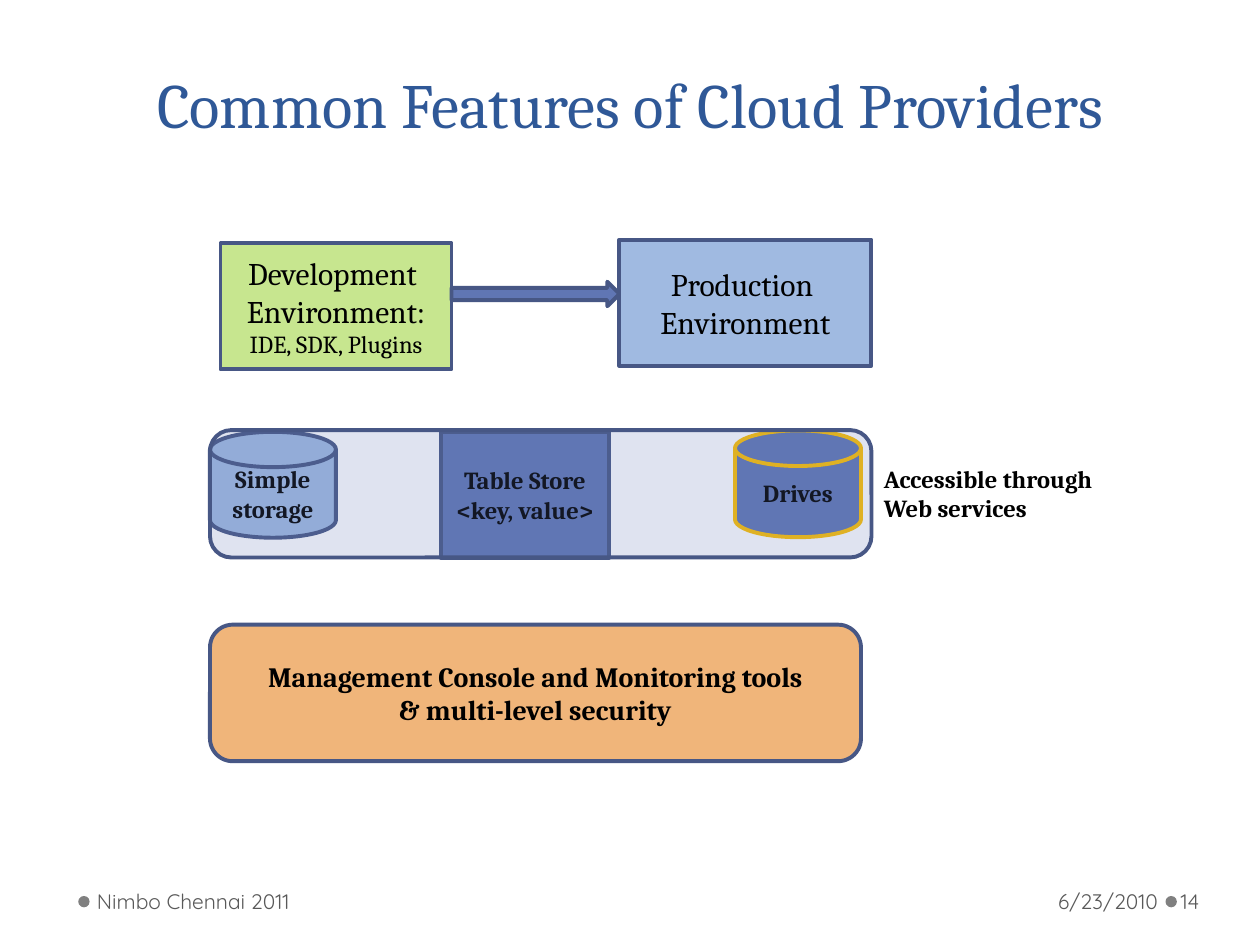
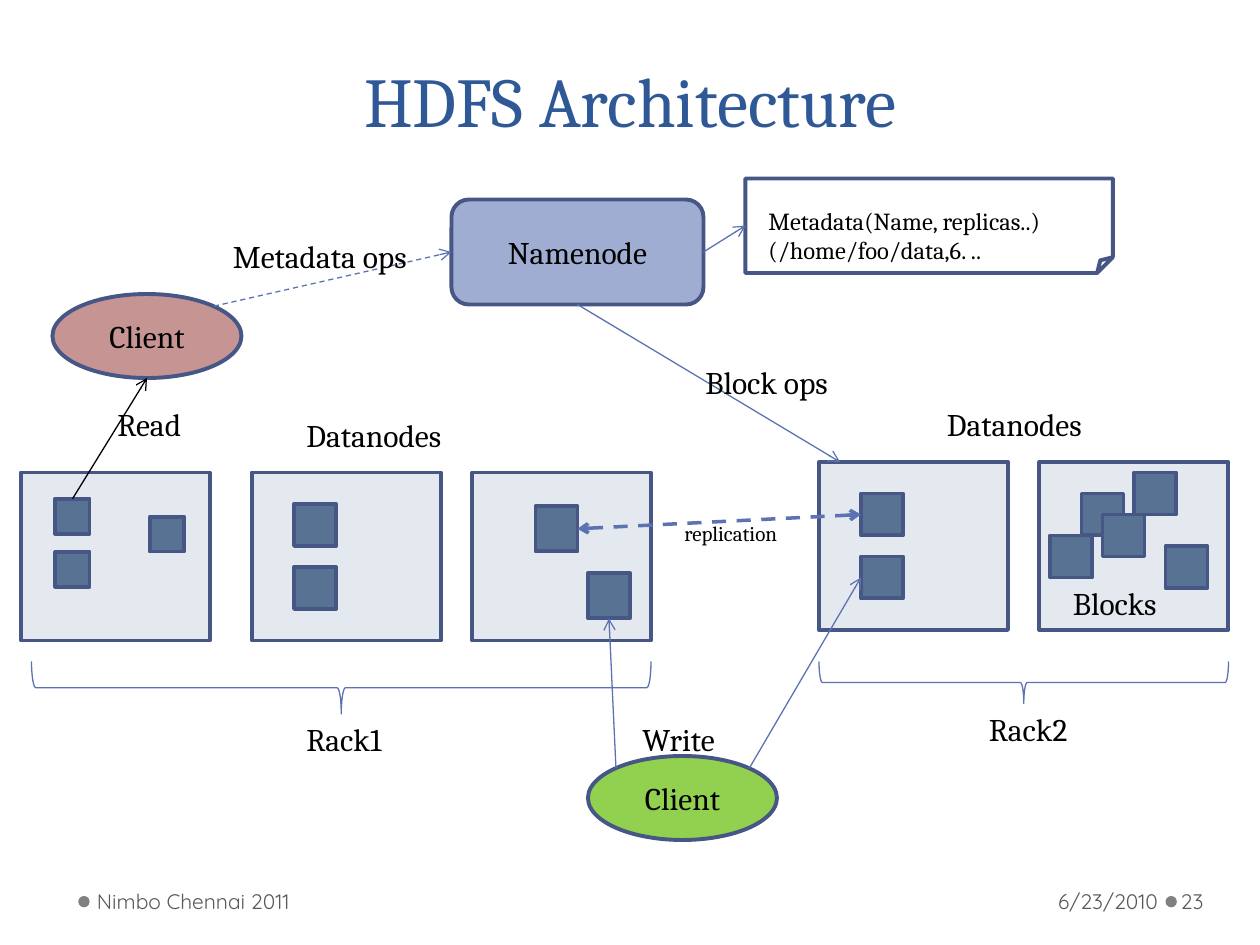
from dataclasses import dataclass

import pptx
import pptx.dml.color
import pptx.enum.dml
import pptx.enum.shapes
import pptx.enum.text
import pptx.oxml.ns
import pptx.shapes.autoshape
import pptx.slide
import pptx.text.text
import pptx.util
from lxml import etree

Pt = pptx.util.Pt
qn = pptx.oxml.ns.qn
Kind = pptx.enum.shapes.MSO_SHAPE
Align = pptx.enum.text.PP_ALIGN
Anchor = pptx.enum.text.MSO_ANCHOR
Dash = pptx.enum.dml.MSO_LINE
Slide = pptx.slide.Slide
Shape = pptx.shapes.autoshape.Shape
Point = tuple[float, float]

SERIF, SANS = "Cambria", "Quicksand"
BLACK, TITLE, GRAY, DOT = "000000", "2F5897", "595959", "808080"
EDGE, ACCENT, LINE, SKY = "475785", "6076B4", "5C72B2", "A0BAE1"
PANEL, BLOCK = "E4E9EF", "577293"
TOP, LEFT, BOTTOM, RIGHT = range(4)


@dataclass
class Box:
    x: float
    y: float
    w: float
    h: float
    fill: str | None = None
    text: str = ""
    kind: Kind = Kind.RECTANGLE
    size: float = 18
    bold: bool = False
    tail: str = ""
    edge: str | None = EDGE
    width: float = 2.25
    alpha: int = 100


@dataclass
class Label:
    x: float
    y: float
    w: float
    h: float
    text: str
    size: float = 18
    bold: bool = False


@dataclass
class Node:
    """A data node; blocks are offsets from its corner."""
    x: float
    y: float
    w: float
    blocks: list[Point]
    size: Point = (24, 24)


@dataclass
class Link:
    """Each end is a point, or a shape with the index of its side."""
    start: tuple
    end: tuple
    color: str = LINE
    width: float = 0.75
    dash: Dash | None = None
    both: bool = False


def rgb(code: str) -> pptx.dml.color.RGBColor:
    return pptx.dml.color.RGBColor.from_string(code)


def write(frame: pptx.text.text.TextFrame, text: str, *, size: float = 18,
          color: str = BLACK, font: str = SERIF, bold: bool = False,
          align: Align = Align.LEFT, anchor: Anchor = Anchor.TOP,
          wrap: bool = True, space: float | None = None,
          inset: tuple = (7.2, 3.6, 7.2, 3.6), tail: str = "") -> None:
    """Fill the frame, one paragraph a line; tail ends the last one at 14 points."""
    frame.word_wrap, frame.vertical_anchor = wrap, anchor
    frame.auto_size = pptx.enum.text.MSO_AUTO_SIZE.NONE
    (frame.margin_left, frame.margin_top,
     frame.margin_right, frame.margin_bottom) = map(Pt, inset)
    lines = text.split("\n")
    for i, line in enumerate(lines):
        para = frame.add_paragraph() if i else frame.paragraphs[0]
        para.alignment = align
        if space:
            para.line_spacing = Pt(space)
        runs = [(line, size)]
        if tail and i == len(lines) - 1:
            runs.append((tail, 14))
        for words, points in runs:
            run = para.add_run()
            run.text = words
            run.font.name, run.font.size = font, Pt(points)
            run.font.bold, run.font.color.rgb = bold, rgb(color)


def draw(slide: Slide, box: Box) -> Shape:
    shape = slide.shapes.add_shape(box.kind, *map(Pt, (box.x, box.y, box.w, box.h)))
    shape.shadow.inherit = False
    if box.fill:
        shape.fill.solid()
        shape.fill.fore_color.rgb = rgb(box.fill)
        if box.alpha < 100:
            tint = shape.element.spPr.find(qn("a:solidFill"))[0]
            etree.SubElement(tint, qn("a:alpha"), val=str(box.alpha * 1000))
    else:
        shape.fill.background()
    if box.edge:
        shape.line.color.rgb = rgb(box.edge)
        shape.line.width = Pt(box.width)
    else:
        shape.line.fill.background()
    if box.text:
        write(shape.text_frame, box.text, size=box.size, bold=box.bold, tail=box.tail,
              align=Align.CENTER, anchor=Anchor.MIDDLE)
    return shape


def note(slide: Slide, x: float, y: float, w: float, h: float,
         text: str, **style) -> None:
    """Add a text box."""
    area = slide.shapes.add_textbox(*map(Pt, (x, y, w, h)))
    write(area.text_frame, text, **style)


def label(slide: Slide, item: Label) -> None:
    note(slide, item.x, item.y, item.w, item.h, item.text,
         size=item.size, bold=item.bold, wrap=False)


def join(slide: Slide, link: Link) -> None:
    ends = [(0, 0) if isinstance(end[0], Shape) else end
            for end in (link.start, link.end)]
    line = slide.shapes.add_connector(
        pptx.enum.shapes.MSO_CONNECTOR.STRAIGHT, *map(Pt, ends[0] + ends[1]))
    for end, glue in ((link.start, line.begin_connect), (link.end, line.end_connect)):
        if isinstance(end[0], Shape):
            glue(*end)
    line.line.color.rgb, line.line.width = rgb(link.color), Pt(link.width)
    if link.dash:
        line.line.dash_style = link.dash
    props = line.element.spPr
    stroke = props.find(qn("a:ln"))
    for tip in ("a:headEnd", "a:tailEnd") if link.both else ("a:tailEnd",):
        etree.SubElement(stroke, qn(tip), type="arrow")
    etree.SubElement(props, qn("a:effectLst"))


def rack(slide: Slide, node: Node) -> list[Shape]:
    """Draw a data node and return its blocks."""
    draw(slide, Box(node.x, node.y, node.w, 96, PANEL))
    return [draw(slide, Box(node.x + dx, node.y + dy, *node.size, BLOCK))
            for dx, dy in node.blocks]


def brace(slide: Slide, x: float, y: float, w: float, h: float) -> None:
    """Draw a brace that spans x to x + w and points down."""
    shape = draw(slide, Box(x + (w - h) / 2, y + (h - w) / 2, h, w,
                            kind=Kind.RIGHT_BRACE, edge=LINE, width=0.75))
    shape.rotation = 90
    shape.adjustments[0] = 0.08


def start(deck: pptx.presentation.Presentation, title: str,
          size: float, number: int) -> Slide:
    """Add a slide with its title and footer."""
    slide = deck.slides.add_slide(deck.slide_layouts[5])
    head = slide.shapes.title
    head.left, head.top, head.width, head.height = map(Pt, (36, 0, 648, 84.24))
    write(head.text_frame, title, size=size, color=TITLE, space=58,
          align=Align.CENTER, anchor=Anchor.BOTTOM)
    for x in (44.7, 666):
        draw(slide, Box(x, 512, 6.5, 6.5, DOT, kind=Kind.OVAL, edge=None))
    for x, w, text, align, left, right in (
            (501.1, 164.2, "6/23/2010", Align.RIGHT, 7.2, 3.6),
            (51.8, 224, "Nimbo Chennai 2011", Align.LEFT, 3.6, 7.2),
            (672.5, 44, str(number), Align.LEFT, 2.2, 3.6)):
        note(slide, x, 500.4, w, 28.8, text, size=12, color=GRAY, font=SANS,
             align=align, anchor=Anchor.MIDDLE, inset=(left, 3.6, right, 3.6))
    return slide


def cloud(deck: pptx.presentation.Presentation) -> None:
    slide = start(deck, "Common Features of Cloud Providers", 36, 14)
    disk, soft = Kind.FLOWCHART_MAGNETIC_DISK, Kind.ROUNDED_RECTANGLE
    for box in (
            Box(126, 139, 132, 72, "C7E68F", "Development \nEnvironment: ",
                tail="IDE, SDK, Plugins"),
            Box(354, 137, 144, 72, SKY, "Production \nEnvironment"),
            Box(258, 161, 96, 14, ACCENT, kind=Kind.RIGHT_ARROW),
            Box(120, 246.8, 72, 60.5, SKY, "Simple\nstorage", disk, 14, True),
            Box(252, 246.8, 96, 72, ACCENT, "Table Store <key, value>",
                size=14, bold=True),
            Box(420, 246, 72, 61, ACCENT, "Drives", disk, 14, True, edge="FFC000"),
            Box(120, 245.8, 378, 72.8, ACCENT, kind=soft, alpha=20),
            Box(120, 357, 372, 78, "F0B57A",
                "Management Console and Monitoring tools\n& multi-level security",
                soft, 16, True)):
        draw(slide, box)
    label(slide, Label(498, 261.4, 142, 41, "Accessible through\nWeb services", 14, True))


def hdfs(deck: pptx.presentation.Presentation) -> None:
    slide = start(deck, "HDFS Architecture", 40, 23)
    name = draw(slide, Box(258, 114, 144, 60, "A0ADD2", "Namenode",
                           Kind.ROUNDED_RECTANGLE))
    meta = draw(slide, Box(426, 102, 210, 54, kind=Kind.FOLDED_CORNER))
    for x, y, fill in ((336, 432, "92D050"), (30, 168, "C79494")):
        draw(slide, Box(x, y, 108, 48, fill, "Client", Kind.OVAL))

    pair = [(24, 18), (24, 54)]
    first, _, third, fourth, _ = [rack(slide, node) for node in (
        Node(12, 270, 108, [(19.7, 15), (19.7, 45.4), (73.7, 25.2)], (19.5, 20)),
        Node(144, 270, 108, pair),
        Node(270, 270, 102, [(36, 19.3), (66, 57.6)], (24, 25.8)),
        Node(468, 264, 108, pair),
        Node(594, 264, 108, [(24, 18), (6, 42), (36, 30), (72, 48), (54, 6)]))]
    brace(slide, 18, 378, 354, 30)
    brace(slide, 468, 378, 234, 24)

    for link in (
            Link((third[0], RIGHT), (fourth[0], LEFT), width=2, dash=Dash.DASH, both=True),
            Link((352, 439), (third[1], BOTTOM)),
            Link((428.2, 439), (fourth[1], LEFT)),
            Link((first[0], TOP), (84, 216), BLACK),
            Link((122.2, 175), (name, LEFT), dash=Dash.DASH),
            Link((name, RIGHT), (meta, LEFT)),
            Link((name, BOTTOM), (480, 264))):
        join(slide, link)

    for item in (
            Label(384, 294, 72, 21.8, "replication", 12),
            Label(168, 408, 62, 29, "Rack1"),
            Label(558, 402, 65, 29, "Rack2"),
            Label(606, 330, 67, 29, "Blocks"),
            Label(168, 234, 101, 29, "Datanodes"),
            Label(534, 228, 101, 29, "Datanodes"),
            Label(360, 408, 60.5, 29, "Write"),
            Label(60, 228, 56, 29, "Read"),
            Label(126, 132, 124, 29, "Metadata ops"),
            Label(396, 204, 91.5, 29, "Block ops"),
            Label(432, 114, 184, 41, "Metadata(Name, replicas..)\n(/home/foo/data,6. ..", 14)):
        label(slide, item)


def main() -> None:
    deck = pptx.Presentation()
    deck.slide_width, deck.slide_height = Pt(720), Pt(540)
    cloud(deck)
    hdfs(deck)
    deck.save("out.pptx")


if __name__ == "__main__":
    main()
